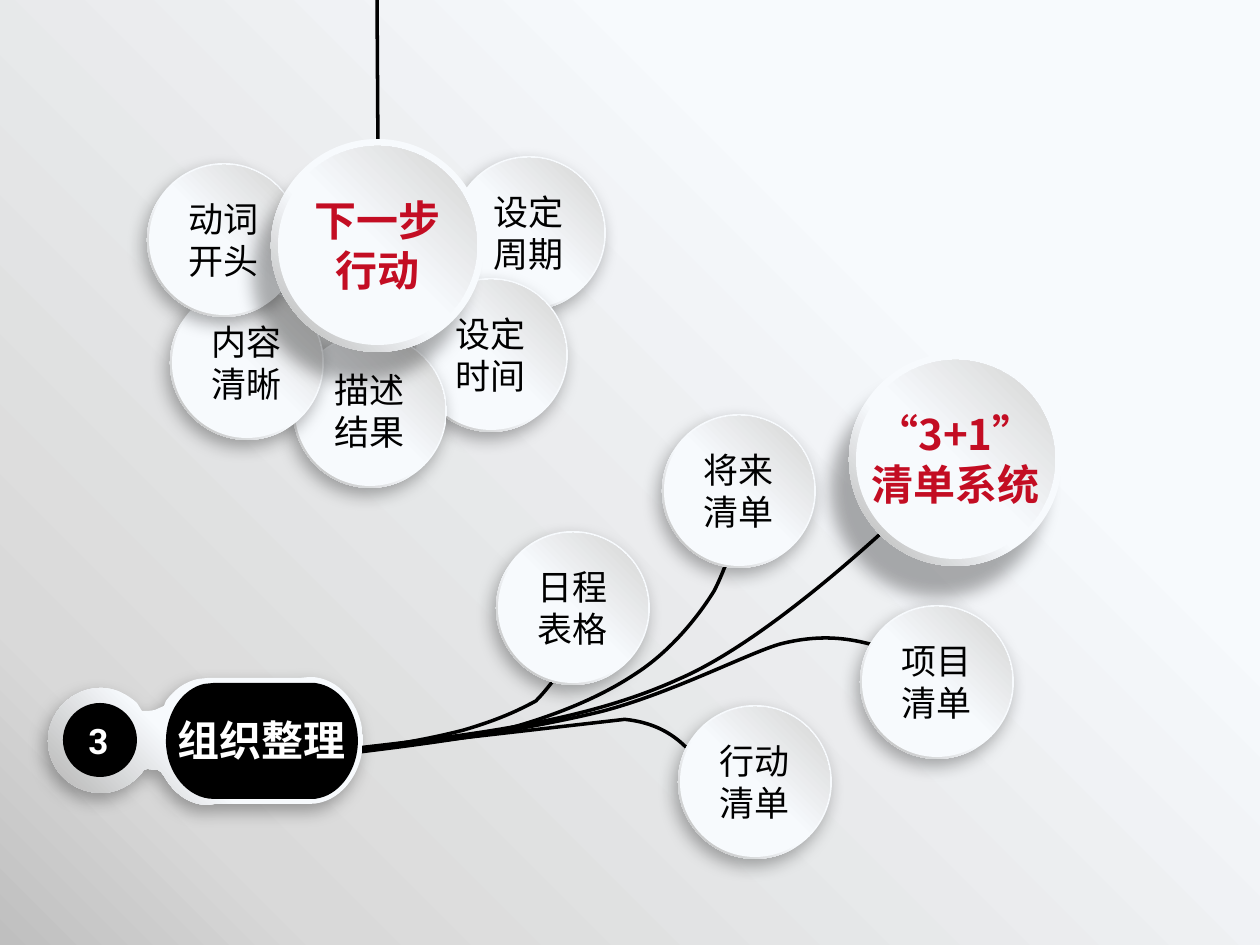
from math import cos, radians, sin

from lxml.etree import SubElement
from pptx import Presentation
from pptx.dml.color import RGBColor
from pptx.enum.shapes import MSO_CONNECTOR as Connector, MSO_SHAPE as Shape
from pptx.enum.text import MSO_AUTO_SIZE as AutoSize, PP_ALIGN as Align
from pptx.oxml.ns import qn
from pptx.util import Emu, Pt

SCALE = 914400 / 126
BLACK = RGBColor(0x00, 0x00, 0x00)
WHITE = RGBColor(0xFF, 0xFF, 0xFF)
RED = RGBColor(0xC3, 0x0D, 0x23)
PEARL = RGBColor(0xF7, 0xFA, 0xFD)
SILVER = RGBColor(0xD9, 0xD9, 0xD9)
GREY = RGBColor(0xBF, 0xBF, 0xBF)
STEEL = RGBColor(0xA6, 0xA6, 0xA6)
BACKDROP = [(28, PEARL), (85, SILVER), (100, GREY)]
RIM = [(57, PEARL), (92, GREY), (100, STEEL)]
FACE = [(49, PEARL), (92, SILVER), (100, GREY)]
HAN_FONT, DIGIT_FONT = "Noto Sans CJK SC", "Roboto"

SMALL = {"size": 154, "inset": 2, "depth": 5, "text_height": 97,
         "text": {"points": 20, "color": BLACK}}
LARGE = {"size": 213, "inset": 7, "depth": 20, "text_height": 115,
         "text": {"points": 24, "color": RED, "bold": True, "align": Align.CENTER}}

PETALS = [
    (305, 165, ["设定", "周期"]),
    (267, 287, ["设定", "时间"]),
    (146, 343, ["描述", "结果"]),
    (23, 295, ["内容", "清晰"]),
    (0, 172, ["动词", "开头"]),
]
LISTS = [
    (308, 61, ["将来", "清单"]),
    (142, 178, ["日程", "表格"]),
    (506, 252, ["项目", "清单"]),
    (324, 352, ["行动", "清单"]),
]
BRANCHES = [
    (-5.1, (287, 128), [(4, 255), (117, 242, 231, 229, 325, 186),
                        (420, 145, 570, 0, 570, 0), (570, 0)]),
    (-7.5, (185, 274), [(0, 257), (271, 226), (331, 232, 344, 274, 360, 284),
                        (376, 295, 371, 291, 365, 288)]),
    (-4, (273, 199), [(5, 259), (88, 249, 174, 236, 245, 219),
                      (317, 201, 402, 156, 430, 150), (485, 137, 523, 155, 543, 158)]),
    (-8.6, (113, 199), [(1, 258), (50, 250, 79, 245, 110, 237),
                        (140, 228, 160, 220, 182, 208), (198, 192, 221, 158, 226, 142)]),
    (-5.9, (204, 133), [(16, 255), (68, 250, 119, 245, 163, 233),
                        (207, 220, 248, 203, 281, 181), (314, 160, 342, 127, 360, 98),
                        (371, 77, 382, 43, 393, 8)]),
]
CAPSULE = [
    (262, 0), (291, 0, 315, 29, 315, 63), (315, 98, 291, 127, 262, 127), (167, 127),
    (160, 128), (142, 128, 126, 117, 116, 99), (113, 95), (110, 93),
    (107, 93, 103, 92, 99, 92), (96, 93), (86, 107, 70, 116, 53, 116),
    (24, 116, 0, 93, 0, 64), (0, 35, 24, 11, 53, 11), (67, 11, 79, 17, 89, 26),
    (94, 34), (97, 34), (99, 34, 103, 34, 107, 33), (116, 29), (118, 24),
    (127, 12, 137, 5, 150, 2), (160, 1), (252, 1),
]
PILL = [
    (166, 6), (267, 6), (272, 7), (293, 12, 310, 35, 310, 64),
    (310, 92, 293, 116, 272, 121), (267, 122), (166, 122),
    (140, 122, 118, 96, 118, 64), (118, 35, 135, 12, 156, 7),
]


def px(length):
    """Turn pixels into EMU."""
    return Emu(round(length * SCALE))


def paint_gradient(owner, fill, stops, angle):
    """Fill the owner with a linear gradient, its angle clockwise."""
    fill.gradient()
    fill.gradient_angle = 360 - angle
    stop_list = owner.element.find(".//" + qn("a:gsLst"))
    stop_list.clear()
    for position, color in stops:
        stop = SubElement(stop_list, qn("a:gs"), pos=str(position * 1000))
        SubElement(stop, qn("a:srgbClr"), val=str(color))


def cast_shadow(shape, depth):
    """Give the shape a soft outer shadow."""
    effects = shape.element.spPr.find(qn("a:effectLst"))
    shadow = SubElement(effects, qn("a:outerShdw"), blurRad=str(Pt(10)), dist=str(Pt(depth)),
                        dir=str(120 * 60000), algn="ctr", rotWithShape="0")
    color = SubElement(shadow, qn("a:srgbClr"), val=str(BLACK))
    SubElement(color, qn("a:alpha"), val="31000")


def add_disc(shapes, left, top, size):
    """Add a circle without line or shadow."""
    disc = shapes.add_shape(Shape.OVAL, px(left), px(top), px(size), px(size))
    disc.shadow.inherit = False
    disc.line.fill.background()
    return disc


def turn(point, center, angle):
    """Turn a point clockwise around a center."""
    x, y = point[0] - center[0], point[1] - center[1]
    c, s = cos(radians(angle)), sin(radians(angle))
    return center[0] + x * c - y * s, center[1] + x * s + y * c


def add_outline(shapes, left, top, steps, close, angle=0, center=(0, 0)):
    """Add a freeform of straight steps (x, y) and cubic steps (three points)."""
    points = [turn(step[i:i + 2], center, -angle) for step in steps for i in range(0, len(step), 2)]
    places = [(px(left + x), px(top + y)) for x, y in points]
    builder = shapes.build_freeform(*places[0], scale=1.0)
    builder.add_line_segments(places[1:], close=close)
    outline = builder.convert_to_shape()
    outline.shadow.inherit = False
    outline.rotation = angle
    segments = iter(outline.element.findall(".//" + qn("a:lnTo")))
    for step in steps[1:]:
        segment = next(segments)
        if len(step) == 6:
            curve = segment.makeelement(qn("a:cubicBezTo"))
            segment.addprevious(curve)
            for part in (segment, next(segments), next(segments)):
                curve.append(part[0])
                part.getparent().remove(part)
    return outline


def add_label(shapes, box, lines, points, color, bold=False, align=Align.LEFT, font=HAN_FONT):
    """Add lines of text in a box that does not wrap."""
    label = shapes.add_textbox(*map(px, box))
    frame = label.text_frame
    frame.word_wrap = False
    frame.auto_size = AutoSize.SHAPE_TO_FIT_TEXT
    for index, line in enumerate(lines):
        para = frame.add_paragraph() if index else frame.paragraphs[0]
        para.alignment = align
        span = para.add_run()
        span.text = line
        span.font.size, span.font.bold, span.font.name = Pt(points), bold, font
        span.font.color.rgb = color
        SubElement(span.font._element, qn("a:ea"), typeface=font)


def add_ball(page, left, top, lines, style, columns=2):
    """Add a raised ball with two lines of text in its middle."""
    shapes = page.shapes.add_group_shape().shapes
    size, inset, height = style["size"], style["inset"], style["text_height"]
    rim = add_disc(shapes, left, top, size)
    paint_gradient(rim, rim.fill, RIM, 135)
    cast_shadow(rim, style["depth"])
    face = add_disc(shapes, left + inset, top + inset, size - 2 * inset)
    paint_gradient(face, face.fill, FACE, 315)
    width = columns * round(style["text"]["points"] * 1.75) + 25
    box = (left + (size - width) // 2, top + (size - height) // 2, width, height)
    add_label(shapes, box, lines, **style["text"])


def add_branches(page, left, top):
    """Draw the curved branches that fan out to the lists."""
    shapes = page.shapes.add_group_shape().shapes
    for angle, center, steps in BRANCHES:
        branch = add_outline(shapes, left, top, steps, False, angle, center)
        branch.fill.background()
        branch.line.color.rgb = BLACK
        branch.line.width = Pt(2)
        SubElement(branch.element.spPr.find(qn("a:ln")), qn("a:tailEnd"), type="oval")


def add_list_system(page, left, top):
    """Place the list balls at the ends of their branches."""
    add_branches(page, left, top + 140)
    add_ball(page, left + 495, top, ["“3+1”", "清单系统"], LARGE, 4)
    for x, y, lines in LISTS:
        add_ball(page, left + x, top + y, lines, SMALL)


def add_flower(page, left, top):
    """Hang the next-action ball and its petals from a stem."""
    stem = page.shapes.add_connector(Connector.STRAIGHT, px(left + 230), px(top),
                                     px(left + 231), px(top + 165))
    stem.line.color.rgb = BLACK
    stem.line.width = Pt(2)
    SubElement(stem.element.spPr, qn("a:effectLst"))
    for x, y, lines in PETALS:
        add_ball(page, left + x, top + y, lines, SMALL)
    add_ball(page, left + 124, top + 148, ["下一步", "行动"], LARGE, 3)


def add_step_title(page, left, top):
    """Add the numbered capsule with the step's title."""
    shapes = page.shapes.add_group_shape().shapes
    capsule = add_outline(shapes, left, top, CAPSULE, True)
    paint_gradient(capsule, capsule.fill, RIM, 135)
    cast_shadow(capsule, 5)
    pill = add_outline(shapes, left, top, PILL, True)
    add_label(shapes, (left + 117, top + 31, 195, 63), ["组织整理"], 24, WHITE, True)
    dot = add_disc(shapes, left + 15, top + 26, 74)
    add_label(shapes, (left + 28, top + 36, 48, 55), ["3"], 20, WHITE, True, font=DIGIT_FONT)
    for part in (pill, dot):
        part.fill.solid()
        part.fill.fore_color.rgb = BLACK
    for part in (capsule, pill):
        part.line.fill.background()


def main():
    """Build the slide and save it."""
    deck = Presentation()
    deck.slide_width, deck.slide_height = px(1260), px(945)
    page = deck.slides.add_slide(deck.slide_layouts[6])
    paint_gradient(page, page.background.fill, BACKDROP, 135)
    add_list_system(page, 354, 353)
    add_flower(page, 147, -9)
    add_step_title(page, 48, 677)
    deck.save("out.pptx")


if __name__ == "__main__":
    main()
